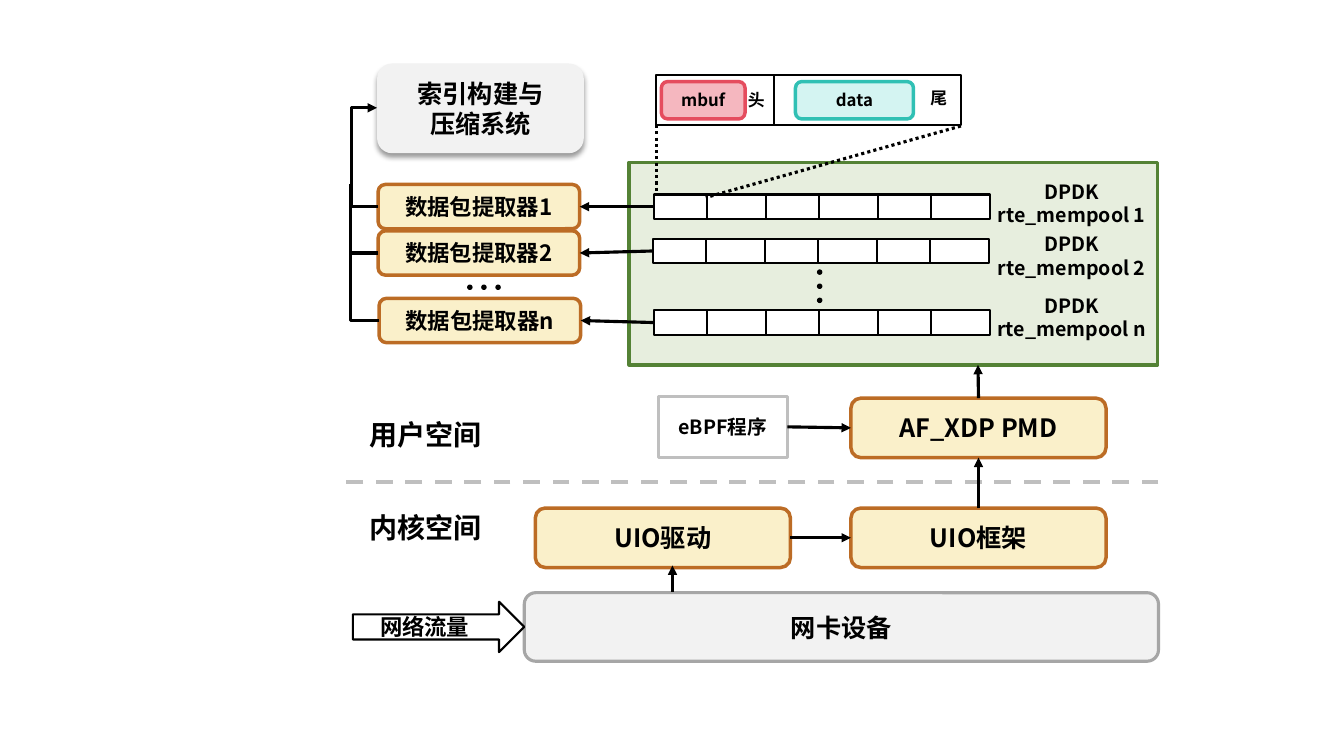
from pptx import Presentation
from pptx.dml.color import RGBColor
from pptx.enum.dml import MSO_LINE
from pptx.enum.shapes import MSO_CONNECTOR, MSO_SHAPE
from pptx.enum.text import MSO_ANCHOR, PP_ALIGN
from pptx.oxml.ns import qn
from pptx.util import Inches, Pt
from lxml import etree

RECT, ROUND = MSO_SHAPE.RECTANGLE, MSO_SHAPE.ROUNDED_RECTANGLE
ARROW, OVAL = MSO_SHAPE.RIGHT_ARROW, MSO_SHAPE.OVAL
LINE, ELBOW = MSO_CONNECTOR.STRAIGHT, MSO_CONNECTOR.ELBOW
DASH, DOT = MSO_LINE.DASH, MSO_LINE.ROUND_DOT
CENTER, MIDDLE = PP_ALIGN.CENTER, MSO_ANCHOR.MIDDLE
TOP, LEFT, BOTTOM, RIGHT = range(4)
COLS, ROWS = 133.3, 75
FONT = "Noto Sans CJK SC"
INK = {
    "black": "000000", "white": "FFFFFF", "green": "E7EEDE", "leaf": "548235",
    "pale": "F2F2F2", "gray": "A6A6A6", "silver": "BFBFBF", "cream": "FAF0CA",
    "brown": "BC6C25", "pink": "F5B7BF", "red": "E54C5E", "mint": "D4F4F2",
    "teal": "30C0B4",
}


def grid(*cells):
    return [Inches(cell / 10) for cell in cells]


def color(name):
    return RGBColor.from_string(INK[name])


def write(shape, text, size, pad=0):
    frame = shape.text_frame
    frame.word_wrap = True
    frame.vertical_anchor = MIDDLE
    frame.margin_top = frame.margin_bottom = 0
    frame.margin_left, frame.margin_right = grid(pad, pad)
    para = frame.paragraphs[0]
    para.alignment = CENTER
    run = para.add_run()
    run.text = text
    font = run.font
    font.size, font.bold, font.name = Pt(size), True, FONT
    font.color.rgb = color("black")
    props = run._r.get_or_add_rPr()
    etree.SubElement(props, qn("a:ea"), typeface=FONT)


def box(slide, kind, at, fill, edge=None, width=2.5, text="", size=18, pad=0):
    shape = slide.shapes.add_shape(kind, *grid(*at))
    shape.shadow.inherit = False
    shape.fill.solid()
    shape.fill.fore_color.rgb = color(fill)
    if edge:
        shape.line.color.rgb = color(edge)
        shape.line.width = Pt(width)
    else:
        shape.line.fill.background()
    if text:
        write(shape, text, size, pad)
    return shape


def label(slide, at, text, size):
    write(slide.shapes.add_textbox(*grid(*at)), text, size, 1)


def step(slide, at, text, size=18):
    return box(slide, ROUND, at, "cream", "brown", text=text, size=size)


def link(slide, at, kind=LINE, ink="black", width=2.25, dash=None, head=False):
    line = slide.shapes.add_connector(kind, *grid(*at))
    line.line.color.rgb = color(ink)
    line.line.width = Pt(width)
    if dash:
        line.line.dash_style = dash
    if head:
        etree.SubElement(line.line._get_or_add_ln(), qn("a:tailEnd"), type="triangle")
    etree.SubElement(line._element.spPr, qn("a:effectLst"))
    return line


def join(slide, start, out, end, into):
    line = link(slide, (0, 0, 1, 1), head=True)
    line.begin_connect(start, out)
    line.end_connect(end, into)


def bend(slide, at, preset, shift=None, head=False):
    geom = link(slide, at, ELBOW, head=head)._element.spPr.find(qn("a:prstGeom"))
    geom.set("prst", preset)
    if shift:
        guides = geom.find(qn("a:avLst"))
        if guides is None:
            guides = etree.SubElement(geom, qn("a:avLst"))
        etree.SubElement(guides, qn("a:gd"), name="adj1", fmla=f"val {shift}")


def shade(shape):
    effect = shape._element.spPr.find(qn("a:effectLst"))
    cast = etree.SubElement(effect, qn("a:outerShdw"), blurRad=str(Pt(4)),
                            dist=str(Pt(3)), dir="5400000", algn="t", rotWithShape="0")
    tint = etree.SubElement(cast, qn("a:srgbClr"), val=INK["black"])
    etree.SubElement(tint, qn("a:alpha"), val="40000")


def cells(slide, left, top):
    row = []
    for i in range(6):
        wide = (5.2, 5.9)[i % 2]
        row.append(box(slide, RECT, (left, top, wide, 2.4), "white", "black", 1.5))
        left += wide
    return row[0]


def dots(slide, left, top, dx, dy):
    for i in range(3):
        box(slide, OVAL, (left + i * dx, top + i * dy, 0.4, 0.4), "black", "black", 1)


def lower(slide, pool):
    box(slide, ROUND, (52, 58.8, 62.9, 6.8), "pale", "gray", 2.25, "网卡设备")
    flow = box(slide, ARROW, (35, 59.7, 17, 5), "white", "black", 1.5, "网络流量", 16)
    flow.text_frame.margin_right = grid(1.5)[0]
    link(slide, (114.9, 47.8, 34.1, 47.8), ink="silver", width=3, dash=DASH)
    for top, name in ((50.1, "内核空间"), (40.9, "用户空间")):
        label(slide, (35, top, 14.4, 4.4), name, 20)
    driver = step(slide, (53.1, 50.4, 25.3, 5.9), "UIO驱动")
    frame = step(slide, (84.4, 50.4, 25.3, 5.9), "UIO框架")
    poll = step(slide, (84.4, 39.5, 25.3, 5.9), "AF_XDP PMD")
    code = box(slide, RECT, (65.3, 39.3, 12.8, 6.1), "white", "silver", 2.25,
               "eBPF程序", 14)
    link(slide, (66.7, 58.7, 66.7, 56.1), head=True)
    join(slide, driver, RIGHT, frame, LEFT)
    join(slide, frame, TOP, poll, BOTTOM)
    join(slide, code, RIGHT, poll, LEFT)
    up = link(slide, (97, 39.5, 97, 36.2), head=True)
    up.begin_connect(poll, TOP)


def packet(slide):
    link(slide, (65.1, 12.4, 65.1, 19.1), dash=DOT)
    link(slide, (95.3, 12.5, 70, 19.6), dash=DOT)
    for left, wide in ((65.1, 11.7), (76.8, 18.5)):
        box(slide, RECT, (left, 7.4, wide, 5), "white", "black", 1.5)
    label(slide, (72.4, 8.4, 5.2, 3), "头", 12)
    label(slide, (90.5, 8.2, 5.2, 3), "尾", 12)
    box(slide, ROUND, (65.6, 8.1, 8.3, 3.7), "pink", "red", text="mbuf", size=12)
    box(slide, ROUND, (78.9, 8.1, 11.7, 3.7), "mint", "teal", text="data", size=12)


def main():
    deck = Presentation()
    deck.slide_width, deck.slide_height = grid(COLS, ROWS)
    slide = deck.slides.add_slide(deck.slide_layouts[6])

    pool = box(slide, RECT, (62.4, 16.1, 52.4, 20.1), "green", "leaf")
    lower(slide, pool)
    lanes = (
        ("1", 37.5, 18.3, 64.9, 19.3, 17.3),
        ("2", 37.5, 22.9, 64.8, 23.7, 22.5),
        ("n", 37.6, 29.6, 64.9, 30.8, 28.6),
    )
    for name, left, top, edge, row, note in lanes:
        first = cells(slide, edge, row)
        label(slide, (97.8, note, 17, 5.7), f"DPDK rte_mempool {name}", 14)
        taker = step(slide, (left, top, 20, 4.4), f"数据包提取器{name}", 16)
        join(slide, first, LEFT, taker, RIGHT)
    dots(slide, 81.1, 26.8, 0, 1.4)
    dots(slide, 46.4, 28.3, 1.4, 0)
    packet(slide)

    index = box(slide, ROUND, (37.4, 6.3, 20.5, 8.9), "pale",
                text="索引构建与压缩系统", pad=3)
    shade(index)
    bend(slide, (37.5, 20.5, 37.4, 10.7), "bentConnector3", 2700000, True)
    bend(slide, (37.5, 25.1, 34.8, 18.3), "bentConnector2")
    bend(slide, (37.6, 31.8, 34.8, 22.6), "bentConnector2")
    deck.save("out.pptx")


if __name__ == "__main__":
    main()
